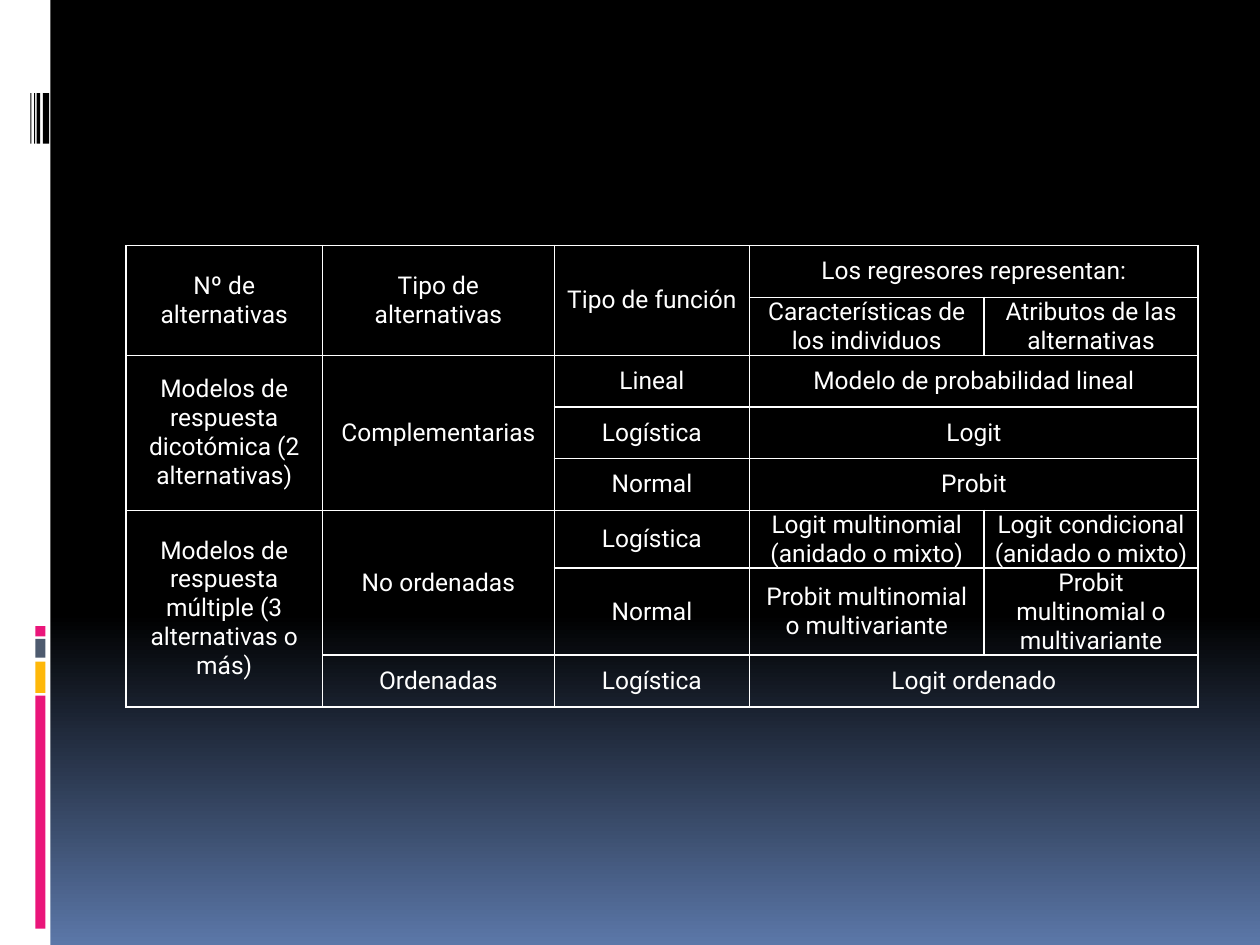
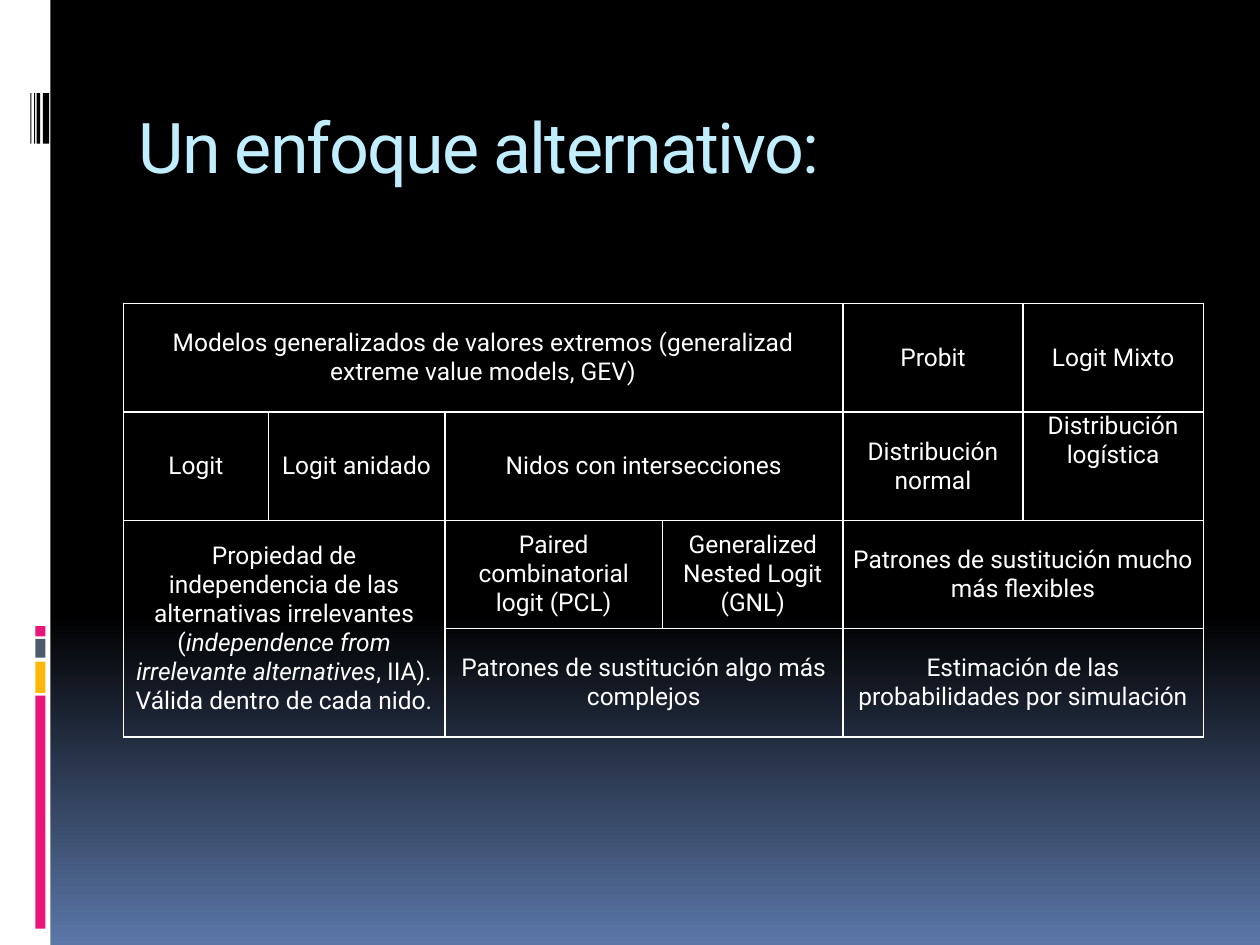
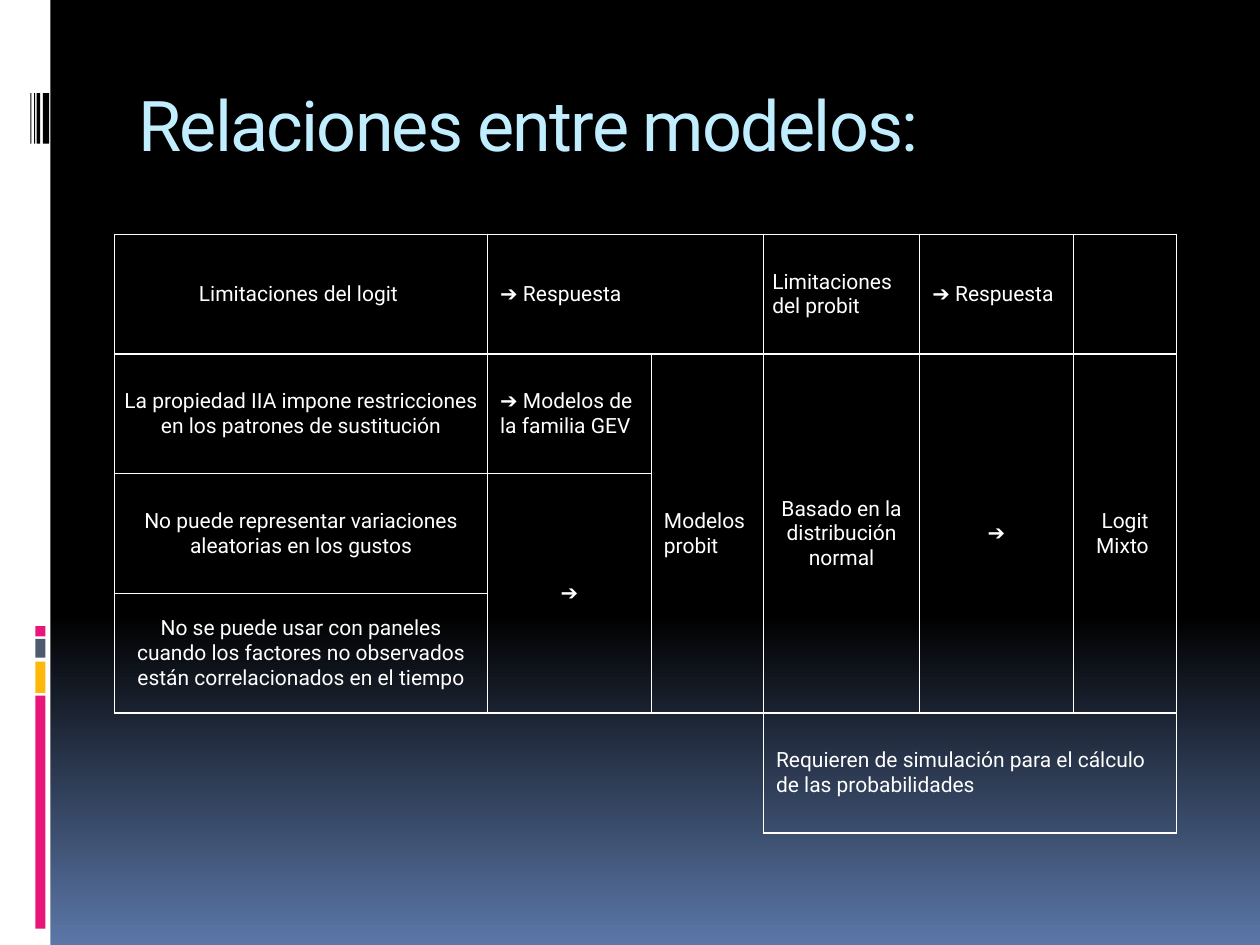
import copy
import dataclasses
import typing

import pptx
import pptx.dml.color
import pptx.enum.shapes
import pptx.enum.text
import pptx.oxml
import pptx.oxml.ns
import pptx.presentation
import pptx.slide
import pptx.table
import pptx.util

Inches = pptx.util.Inches
Pt = pptx.util.Pt
qn = pptx.oxml.ns.qn
Align = pptx.enum.text.PP_ALIGN
Anchor = pptx.enum.text.MSO_ANCHOR

FONT = "Roboto"
NO_GRID_STYLE = "{2D5ABB26-0587-4C30-8999-92F81FD0307C}"
COLORS = {
    "white": "FFFFFF",
    "black": "000000",
    "pink": "EA157A",
    "amber": "FEB80A",
    "slate": "4E5B6F",
    "dusk": "5B77A8",
    "title": "C1EEFF",
}


class Bar(typing.NamedTuple):
    left: float
    top: float
    width: float
    height: float
    color: str


@dataclasses.dataclass(frozen=True)
class Entry:
    row: int
    column: int
    text: str
    rows: int = 1
    columns: int = 1
    align: Align = Align.CENTER
    anchor: Anchor = Anchor.MIDDLE
    compact: bool = True


@dataclasses.dataclass(frozen=True)
class Grid:
    left: float
    top: float
    widths: list[float]
    row_height: float
    row_count: int
    font_size: int
    entries: list[Entry]
    partial_borders: dict[tuple[int, int], str] = dataclasses.field(default_factory=dict)


SIDE_BARS = [
    Bar(0, 0, 0.4, 7.5, "white"),
    Bar(0.28, 5.52, 0.08, 1.85, "pink"),
    Bar(0.28, 5.25, 0.08, 0.25, "amber"),
    Bar(0.28, 5.07, 0.08, 0.15, "slate"),
    Bar(0.28, 4.97, 0.08, 0.08, "pink"),
    *(
        Bar(left, 0.74, width, 0.4, "black")
        for left, width in ((0.34, 0.05), (0.29, 0.03), (0.27, 0.01), (0.24, 0.01))
    ),
]

ALTERNATIVES = Grid(
    1, 1.95, [1.56, 1.84, 1.55, 1.86, 1.7], 0.41, 8, 14,
    [
        Entry(0, 0, "Nº de alternativas", rows=2),
        Entry(0, 1, "Tipo de alternativas", rows=2),
        Entry(0, 2, "Tipo de función", rows=2),
        Entry(0, 3, "Los regresores representan:", columns=2),
        Entry(1, 3, "Características de los individuos"),
        Entry(1, 4, "Atributos de las alternativas"),
        Entry(2, 0, "Modelos de respuesta dicotómica (2 alternativas)", rows=3),
        Entry(2, 1, "Complementarias", rows=3),
        Entry(2, 2, "Lineal"),
        Entry(2, 3, "Modelo de probabilidad lineal", columns=2),
        Entry(3, 2, "Logística"),
        Entry(3, 3, "Logit", columns=2),
        Entry(4, 2, "Normal"),
        Entry(4, 3, "Probit", columns=2),
        Entry(5, 0, "Modelos de respuesta múltiple (3 alternativas o más)", rows=3),
        Entry(5, 1, "No ordenadas", rows=2),
        Entry(5, 2, "Logística"),
        Entry(5, 3, "Logit multinomial (anidado o mixto)"),
        Entry(5, 4, "Logit condicional (anidado o mixto)"),
        Entry(6, 2, "Normal"),
        Entry(6, 3, "Probit multinomial o multivariante"),
        Entry(6, 4, "Probit multinomial o multivariante"),
        Entry(7, 1, "Ordenadas"),
        Entry(7, 2, "Logística"),
        Entry(7, 3, "Logit ordenado", columns=2),
    ],
)

APPROACH = Grid(
    0.98, 2.41, [1.15, 1.4, 1.73, 1.43, 1.43, 1.43], 0.86, 4, 14,
    [
        Entry(0, 0, "Modelos generalizados de valores extremos "
              "(generalizad extreme value models, GEV)", columns=4),
        Entry(0, 4, "Probit"),
        Entry(0, 5, "Logit Mixto"),
        Entry(1, 0, "Logit"),
        Entry(1, 1, "Logit anidado"),
        Entry(1, 2, "Nidos con intersecciones", columns=2),
        Entry(1, 4, "Distribución normal"),
        Entry(1, 5, "Distribución logística", anchor=Anchor.TOP),
        Entry(2, 0, "Propiedad de independencia de las alternativas irrelevantes "
              "(*independence from irrelevante alternatives*, IIA). "
              "Válida dentro de cada nido.", rows=2, columns=2),
        Entry(2, 2, "Paired combinatorial logit (PCL)"),
        Entry(2, 3, "Generalized Nested Logit (GNL)"),
        Entry(2, 4, "Patrones de sustitución mucho más flexibles", columns=2),
        Entry(3, 2, "Patrones de sustitución algo más complejos", columns=2),
        Entry(3, 4, "Estimación de las probabilidades por simulación", columns=2),
    ],
)

RELATIONS = Grid(
    0.91, 1.86, [2.96, 1.3, 0.89, 1.24, 1.22, 0.82], 0.95, 5, 12,
    [
        Entry(0, 0, "Limitaciones del logit ", compact=False),
        Entry(0, 1, "➔ Respuesta", columns=2, align=Align.LEFT, compact=False),
        Entry(0, 3, "Limitaciones del probit", align=Align.LEFT),
        Entry(0, 4, "➔ Respuesta", align=Align.LEFT, compact=False),
        Entry(1, 0, "La propiedad IIA impone restricciones en los patrones de sustitución"),
        Entry(1, 1, "➔ Modelos de la familia GEV", align=Align.LEFT, compact=False),
        Entry(1, 2, "Modelos probit", rows=3, align=Align.LEFT, compact=False),
        Entry(1, 3, "Basado en la distribución normal", rows=3),
        Entry(1, 4, "➔", rows=3, compact=False),
        Entry(1, 5, "Logit Mixto ", rows=3, compact=False),
        Entry(2, 0, "No puede representar variaciones aleatorias en los gustos"),
        Entry(2, 1, "➔", rows=2, compact=False),
        Entry(3, 0, "No se puede usar con paneles cuando los factores no observados "
              "están correlacionados en el tiempo"),
        Entry(4, 3, "Requieren de simulación para el cálculo de las probabilidades",
              columns=3, align=Align.LEFT, compact=False),
    ],
    {(4, 0): "T", (4, 1): "T", (4, 2): "RT"},
)


def rgb(name: str) -> pptx.dml.color.RGBColor:
    return pptx.dml.color.RGBColor.from_string(COLORS[name])


def style_master(presentation: pptx.presentation.Presentation) -> None:
    master = presentation.slide_master
    fill = master.background.fill
    fill.gradient()
    fill.gradient_angle = 270
    stop_list = master.element.find(".//" + qn("a:gsLst"))
    stop_list.insert(0, copy.deepcopy(stop_list[0]))
    stops = ((0, "black"), (0.65, "black"), (1, "dusk"))
    for stop, (position, color) in zip(fill.gradient_stops, stops):
        stop.position = position
        stop.color.rgb = rgb(color)


def add_side_bars(slide: pptx.slide.Slide, master: pptx.slide.SlideMaster) -> None:
    for index, bar in enumerate(SIDE_BARS):
        shape = slide.shapes.add_shape(
            pptx.enum.shapes.MSO_SHAPE.RECTANGLE,
            Inches(bar.left), Inches(bar.top), Inches(bar.width), Inches(bar.height),
        )
        shape.shadow.inherit = False
        shape.fill.solid()
        shape.fill.fore_color.rgb = rgb(bar.color)
        shape.line.fill.background()
        shape.element.nvSpPr.cNvPr.set("id", str(100 + index))
        master.shapes.element.insert(2 + index, shape.element)


def add_title(slide: pptx.slide.Slide, text: str, top: float, height: float) -> None:
    title = slide.shapes.title
    title.left, title.top = Inches(1), Inches(top)
    title.width, title.height = Inches(8.5), Inches(height)
    frame = title.text_frame
    frame.text = text
    frame.vertical_anchor = Anchor.TOP
    frame.margin_top = Inches(0.09)
    paragraph = frame.paragraphs[0]
    paragraph.alignment = Align.LEFT
    paragraph.font.name = FONT
    paragraph.font.size = Pt(40)
    paragraph.font.color.rgb = rgb("title")
    paragraph._p.pPr.find(qn("a:defRPr")).set("spc", "-100")


def set_borders(cell: pptx.table._Cell, sides: str) -> None:
    properties = cell._tc.get_or_add_tcPr()
    for index, side in enumerate(sides):
        properties.insert(index, pptx.oxml.parse_xml(
            f'<a:ln{side} {pptx.oxml.ns.nsdecls("a")} w="12700"><a:solidFill>'
            f'<a:srgbClr val="{COLORS["white"]}"/></a:solidFill></a:ln{side}>'
        ))


def fill_cell(table: pptx.table.Table, entry: Entry, font_size: int) -> None:
    cell = table.cell(entry.row, entry.column)
    if entry.rows * entry.columns > 1:
        cell.merge(table.cell(entry.row + entry.rows - 1, entry.column + entry.columns - 1))
    cell.vertical_anchor = entry.anchor
    paragraph = cell.text_frame.paragraphs[0]
    paragraph.alignment = entry.align
    if entry.compact:
        cell.margin_left = cell.margin_right = Inches(0.07)
        cell.margin_top = cell.margin_bottom = 0
        paragraph.space_after = Pt(10)
    paragraph.font.name = FONT
    paragraph.font.size = Pt(font_size)
    paragraph.font.color.rgb = rgb("white")
    for index, part in enumerate(entry.text.split("*")):
        run = paragraph.add_run()
        run.text = part
        if index % 2:
            run.font.italic = True


def add_grid(slide: pptx.slide.Slide, grid: Grid) -> None:
    table = slide.shapes.add_table(
        grid.row_count, len(grid.widths), Inches(grid.left), Inches(grid.top),
        Inches(sum(grid.widths)), Inches(grid.row_height * grid.row_count),
    ).table
    table.first_row = table.horz_banding = False
    table._tbl.tblPr.find(qn("a:tableStyleId")).text = NO_GRID_STYLE
    for column, width in zip(table.columns, grid.widths):
        column.width = Inches(width)
    for row_index, row in enumerate(table.rows):
        row.height = Inches(grid.row_height)
        for column_index, cell in enumerate(row.cells):
            cell.fill.background()
            set_borders(cell, grid.partial_borders.get((row_index, column_index), "LRTB"))
    for entry in grid.entries:
        fill_cell(table, entry, grid.font_size)


def main() -> None:
    presentation = pptx.Presentation()
    presentation.slide_width, presentation.slide_height = Inches(10), Inches(7.5)
    title_only, blank = presentation.slide_layouts[5], presentation.slide_layouts[6]
    style_master(presentation)

    alternatives = presentation.slides.add_slide(blank)
    add_side_bars(alternatives, presentation.slide_master)
    add_grid(alternatives, ALTERNATIVES)

    approach = presentation.slides.add_slide(title_only)
    add_title(approach, "Un enfoque alternativo:", 0.73, 0.91)
    add_grid(approach, APPROACH)

    relations = presentation.slides.add_slide(title_only)
    add_title(relations, "Relaciones entre modelos:", 0.56, 1)
    add_grid(relations, RELATIONS)

    presentation.save("out.pptx")


if __name__ == "__main__":
    main()
